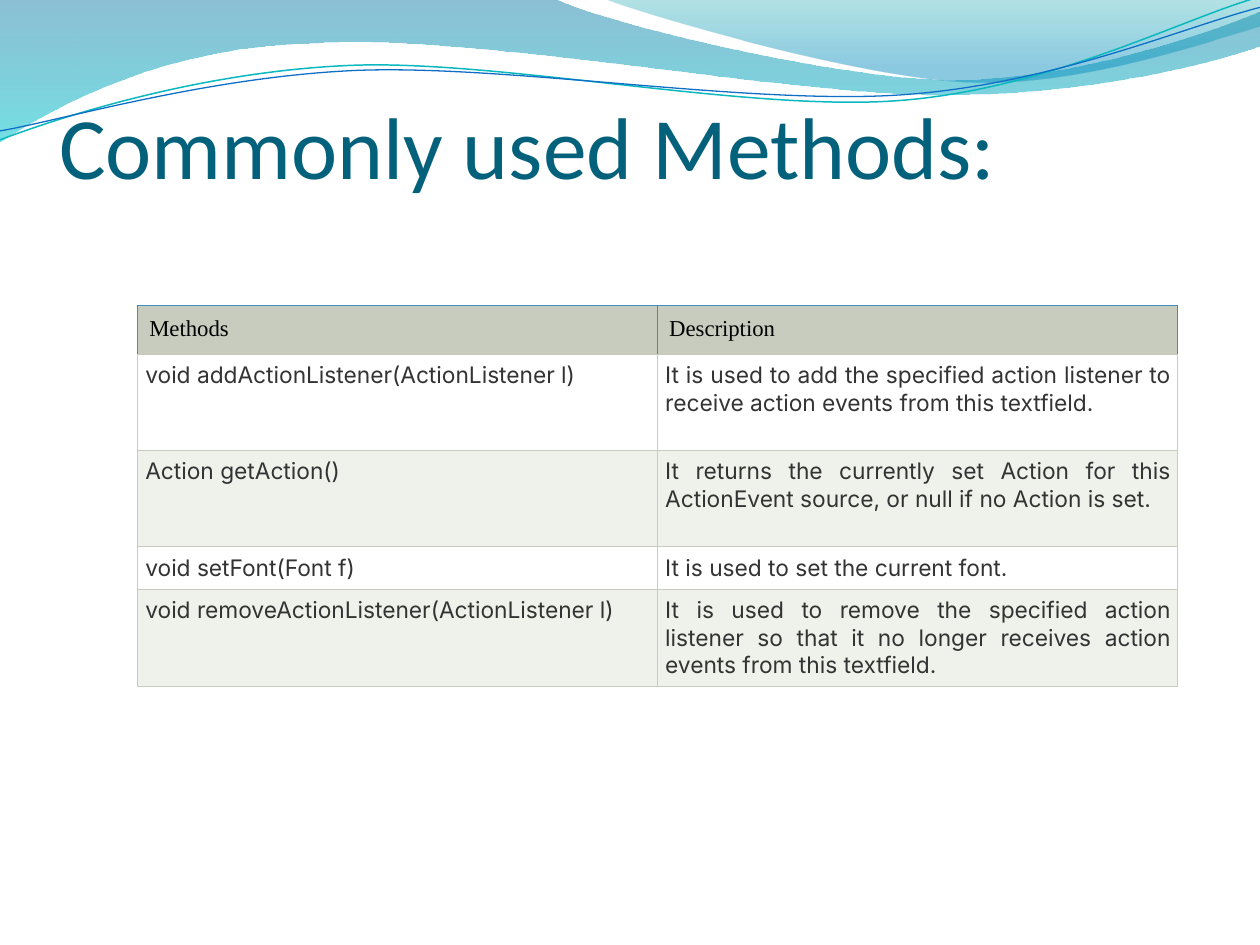
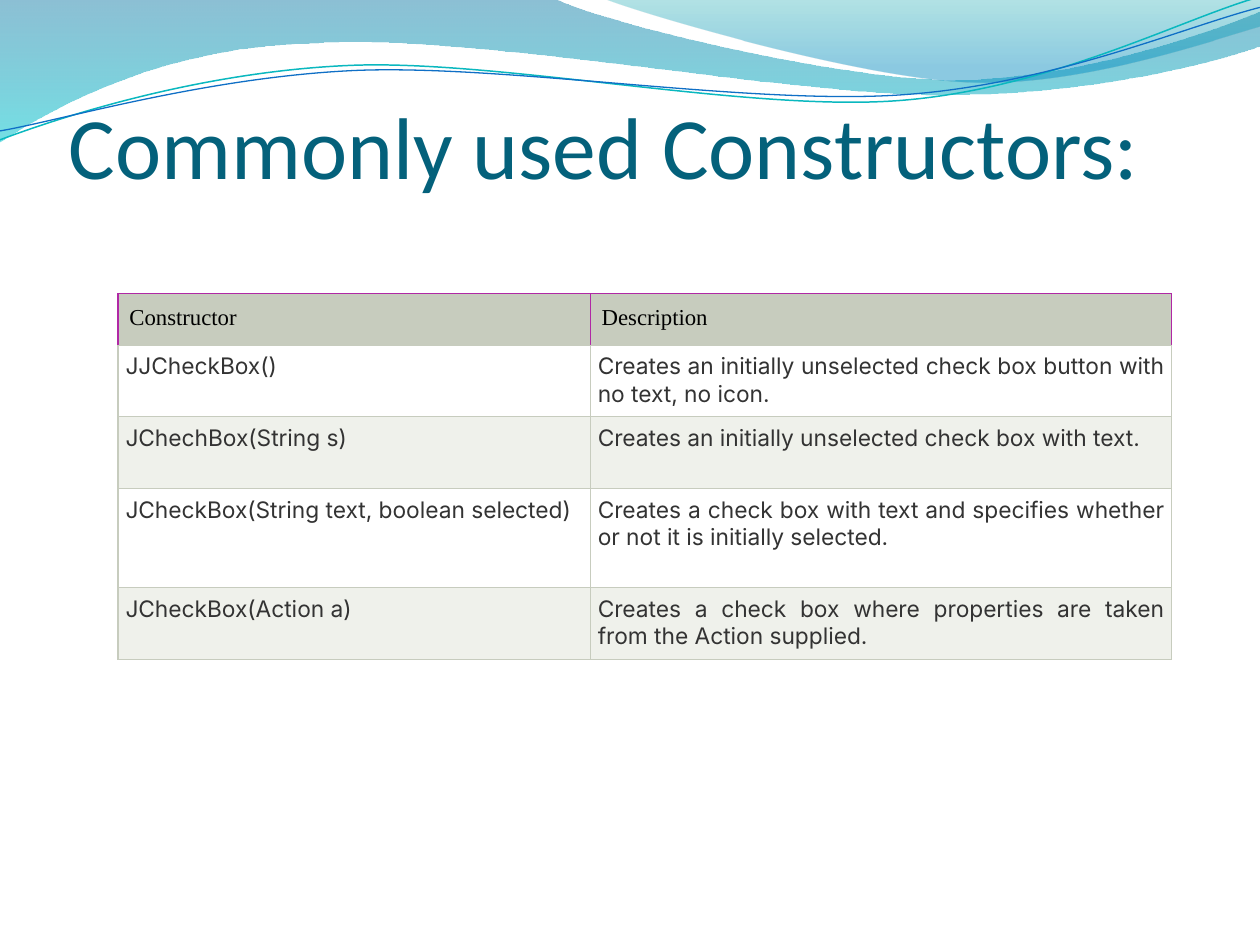
"""Build two slides of Java Swing reference tables under a shared wave header."""
from dataclasses import dataclass
from typing import Optional

from lxml import etree
from pptx import Presentation
from pptx.dml.color import RGBColor
from pptx.enum.text import MSO_ANCHOR, MSO_AUTO_SIZE, PP_ALIGN
from pptx.oxml.ns import qn
from pptx.util import Cm, Pt

LEFT, JUSTIFY = PP_ALIGN.LEFT, PP_ALIGN.JUSTIFY
BOTTOM, TOP = MSO_ANCHOR.BOTTOM, MSO_ANCHOR.TOP
NO_AUTOFIT = MSO_AUTO_SIZE.NONE
TITLE_ONLY = 5


@dataclass(frozen=True)
class Theme:
    """Colours, fonts and sizes of the deck."""
    title: str = "04617B"
    header_text: str = "000000"
    body_text: str = "333333"
    header_fill: str = "C7CCBE"
    grid: str = "C7CCBE"
    bands: tuple = ("FFFFFF", "EFF1EB")
    blue_rule: str = "408DC1"
    magenta_rule: str = "B028A5"
    title_font: str = "Calibri"
    header_font: str = "Times New Roman"
    body_font: str = "Inter"
    title_size: float = 50
    table_size: float = 13
    rule_width: float = 0.75


THEME = Theme()


@dataclass(frozen=True)
class Stop:
    """A gradient stop: position from 0 to 1, colour, opacity in percent."""
    position: float
    colour: str
    opacity: int


@dataclass(frozen=True)
class Wave:
    """An outline in cm; a piece of one point is a line, of three a curve."""
    start: tuple
    pieces: tuple
    stops: tuple = ()
    line: Optional[str] = None
    width: float = 0


@dataclass(frozen=True)
class ReferenceSlide:
    """A title and a two-column table, with lengths in cm."""
    title: str
    title_left: float
    table_at: tuple
    columns: tuple
    heights: tuple
    header_rule: str
    rows: tuple


WAVES = (
    Wave((0, 0), (
        ((11.18, -0.03),),
        ((12.09, 0.43), (16.87, 1.6), (19.25, 1.6)),
        ((21.67, 1.6), (24.33, 0.66), (25.4, 0.23)),
        ((25.43, 0.91),),
        ((24.97, 1.12), (22.1, 1.93), (18.95, 1.91)),
        ((15.8, 1.91), (9.7, 0.71), (6.53, 0.86)),
        ((3.28, 0.91), (1.17, 2.11), (-0.03, 2.87)),
        ((0, 0),),
    ), stops=(Stop(0, "0074A1", 45), Stop(1, "00C6CF", 55))),
    Wave((12.17, -0.03), (
        ((12.93, 0.28), (17.32, 1.57), (19.53, 1.65)),
        ((21.74, 1.75), (24.41, 0.81), (25.4, 0.53)),
        ((25.4, 0),),
        ((12.17, -0.03),),
    ), stops=(Stop(0, "00A1A9", 30), Stop(0.8, "008BBF", 45))),
    Wave((0, 2.82), (
        ((1.22, 2.36), (4.01, 1.45), (7.04, 1.32)),
        ((10.03, 1.19), (15.06, 2.26), (18.11, 2.03)),
        ((21.16, 1.8), (23.83, 0.38), (25.35, -0.05)),
    ), line="0AB8BF", width=0.85),
    Wave((0, 2.64), (
        ((1.19, 2.44), (4.17, 1.55), (7.19, 1.42)),
        ((10.24, 1.3), (15.16, 2.13), (18.21, 1.91)),
        ((21.23, 1.7), (23.9, 0.53), (25.4, 0.15)),
    ), line="0F6FC6", width=0.75),
)

SLIDES = (
    ReferenceSlide(
        "Commonly used Methods:", 1.19, (2.78, 6.15), (10.48, 10.48),
        (0.99, 1.94, 1.94, 0.85, 1.95), THEME.blue_rule, (
            ("Methods", "Description"),
            ("void addActionListener(ActionListener l)",
             "It is used to add the specified action listener to receive "
             "action events from this textfield."),
            ("Action getAction()",
             "It returns the currently set Action for this ActionEvent "
             "source, or null if no Action is set."),
            ("void setFont(Font f)", "It is used to set the current font."),
            ("void removeActionListener(ActionListener l)",
             "It is used to remove the specified action listener so that it "
             "no longer receives action events from this textfield."),
        )),
    ReferenceSlide(
        "Commonly used Constructors:", 1.39, (2.38, 5.92), (9.52, 11.71),
        (1.04, 1.44, 1.45, 2.0, 1.45), THEME.magenta_rule, (
            ("Constructor", "Description"),
            ("JJCheckBox()",
             "Creates an initially unselected check box button with no text, "
             "no icon."),
            ("JChechBox(String s)",
             "Creates an initially unselected check box with text."),
            ("JCheckBox(String text, boolean selected)",
             "Creates a check box with text and specifies whether or not it "
             "is initially selected."),
            ("JCheckBox(Action a)",
             "Creates a check box where properties are taken from the Action "
             "supplied."),
        )),
)


def rgb(colour: str) -> RGBColor:
    """Turn a hex string into a colour."""
    return RGBColor.from_string(colour)


def write(frame, text: str, *, font: str, size: float, colour: str,
          align=LEFT) -> None:
    """Put one formatted paragraph into a text frame."""
    frame.word_wrap = True
    paragraph = frame.paragraphs[0]
    paragraph.alignment = align
    run = paragraph.add_run()
    run.text = text
    run.font.name = font
    run.font.size = Pt(size)
    run.font.bold = False
    run.font.color.rgb = rgb(colour)


def set_margins(holder, left: float, top: float, right: float,
                bottom: float) -> None:
    """Set the inner margins of a cell or text frame in cm."""
    holder.margin_left, holder.margin_top = Cm(left), Cm(top)
    holder.margin_right, holder.margin_bottom = Cm(right), Cm(bottom)


def bend_segments(shape, wave: Wave) -> None:
    """Turn the straight segments of three-point pieces into curves."""
    segments = list(shape.element.iter(qn("a:lnTo")))
    for segment, piece in zip(segments, wave.pieces):
        if len(piece) == 1:
            continue
        segment.tag = qn("a:cubicBezTo")
        for position, (x, y) in enumerate(piece[:-1]):
            control = etree.Element(qn("a:pt"), x=str(Cm(x) - shape.left),
                                    y=str(Cm(y) - shape.top))
            segment.insert(position, control)


def draw_wave(slide, wave: Wave):
    """Draw a gradient wave or a thin wavy line."""
    x, y = wave.start
    builder = slide.shapes.build_freeform(Cm(x), Cm(y))
    ends = [(Cm(x), Cm(y)) for x, y in (piece[-1] for piece in wave.pieces)]
    builder.add_line_segments(ends, close=bool(wave.stops))
    shape = builder.convert_to_shape()
    bend_segments(shape, wave)
    shape.shadow.inherit = False
    if wave.stops:
        shape.fill.gradient()
        shape.fill.gradient_angle = 270
        for target, stop in zip(shape.fill.gradient_stops, wave.stops):
            target.position = stop.position
            target.color.rgb = rgb(stop.colour)
        colours = list(shape.element.spPr.iter(qn("a:srgbClr")))
        for colour, stop in zip(colours, wave.stops):
            etree.SubElement(colour, qn("a:alpha"),
                             val=str(stop.opacity * 1000))
        shape.line.fill.background()
    else:
        shape.fill.background()
        shape.line.color.rgb = rgb(wave.line)
        shape.line.width = Pt(wave.width)
    return shape


def add_waves_to_layout(slide) -> None:
    """Draw the waves and hand them to the layout that the slides share."""
    layout_tree = slide.slide_layout.shapes.element
    for wave in WAVES:
        layout_tree.append(draw_wave(slide, wave).element)


def set_borders(cell, rule: str) -> None:
    """Rule the left, right and top of a cell, with a grid line below."""
    properties = cell._tc.get_or_add_tcPr()
    sides = {"a:lnL": rule, "a:lnR": rule, "a:lnT": rule, "a:lnB": THEME.grid}
    for side, colour in sides.items():
        line = etree.SubElement(properties, qn(side),
                                w=str(Pt(THEME.rule_width)))
        fill = etree.SubElement(line, qn("a:solidFill"))
        etree.SubElement(fill, qn("a:srgbClr"), val=colour)


def place_title(slide, content: ReferenceSlide) -> None:
    """Move, format and fill the title placeholder."""
    title = slide.shapes.title
    title.left, title.top = Cm(content.title_left), Cm(0.79)
    title.width, title.height = Cm(22.86), Cm(3.18)
    frame = title.text_frame
    frame.auto_size = NO_AUTOFIT
    frame.vertical_anchor = BOTTOM
    set_margins(frame, 0, 0.13, 0, 0)
    write(frame, content.title, font=THEME.title_font,
          size=THEME.title_size, colour=THEME.title)


def fill_cell(cell, text: str, row: int, header_rule: str) -> None:
    """Format one cell as header or as banded body."""
    is_header = row == 0
    margin = 0.23 if is_header else 0.15
    set_margins(cell, margin, margin, margin, margin)
    cell.vertical_anchor = TOP
    set_borders(cell, header_rule if is_header else THEME.grid)
    cell.fill.solid()
    cell.fill.fore_color.rgb = rgb(
        THEME.header_fill if is_header else THEME.bands[(row - 1) % 2])
    write(cell.text_frame, text, size=THEME.table_size,
          font=THEME.header_font if is_header else THEME.body_font,
          colour=THEME.header_text if is_header else THEME.body_text,
          align=LEFT if is_header else JUSTIFY)


def add_reference_table(slide, content: ReferenceSlide) -> None:
    """Add the table of names and descriptions."""
    left, top = content.table_at
    reference = slide.shapes.add_table(
        len(content.rows), len(content.columns), Cm(left), Cm(top),
        Cm(sum(content.columns)), Cm(sum(content.heights))).table
    reference.first_row = False
    reference.horz_banding = False
    for column, width in zip(reference.columns, content.columns):
        column.width = Cm(width)
    for index, (height, texts) in enumerate(zip(content.heights,
                                                content.rows)):
        reference.rows[index].height = Cm(height)
        for column, text in enumerate(texts):
            fill_cell(reference.cell(index, column), text, index,
                      content.header_rule)


def main() -> None:
    """Build and save the deck."""
    deck = Presentation()
    deck.slide_width, deck.slide_height = Cm(25.4), Cm(19.05)
    for content in SLIDES:
        slide = deck.slides.add_slide(deck.slide_layouts[TITLE_ONLY])
        place_title(slide, content)
        add_reference_table(slide, content)
    add_waves_to_layout(deck.slides[0])
    deck.save("out.pptx")


if __name__ == "__main__":
    main()
